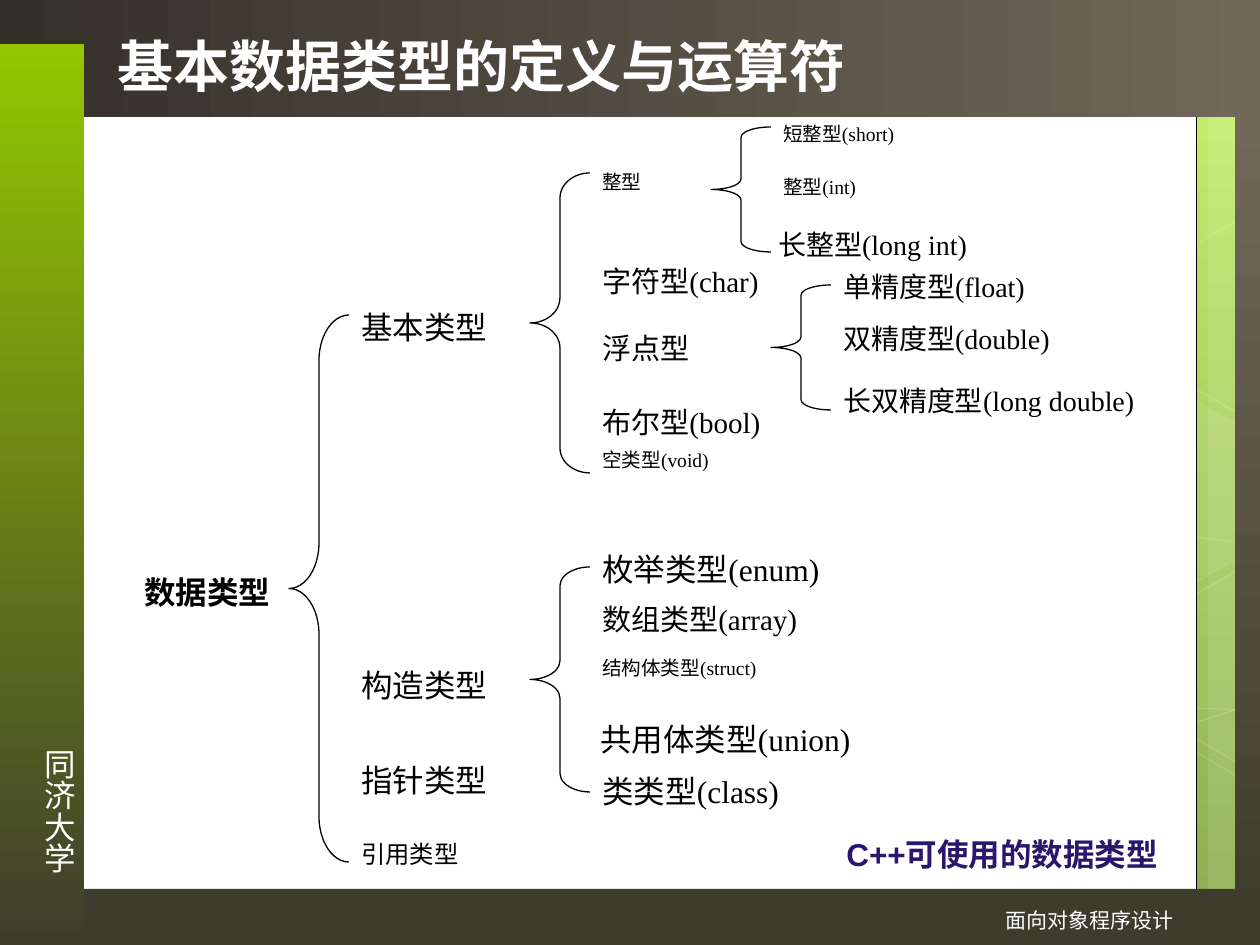
from pptx import Presentation
from pptx.dml.color import RGBColor
from pptx.enum.shapes import MSO_CONNECTOR, MSO_SHAPE
from pptx.enum.text import MSO_ANCHOR, PP_ALIGN
from pptx.oxml.ns import qn
from pptx.util import Emu, Pt
from lxml import etree

RECT, HEXAGON, BRACE = MSO_SHAPE.RECTANGLE, MSO_SHAPE.HEXAGON, MSO_SHAPE.LEFT_BRACE
STRAIGHT = MSO_CONNECTOR.STRAIGHT
LEFT, CENTER, RIGHT, JUSTIFY = PP_ALIGN.LEFT, PP_ALIGN.CENTER, PP_ALIGN.RIGHT, PP_ALIGN.JUSTIFY
TOP, MIDDLE, BOTTOM = MSO_ANCHOR.TOP, MSO_ANCHOR.MIDDLE, MSO_ANCHOR.BOTTOM

PX = 914400 / 126
DOWN, ACROSS = 270, 0
COLORS = {
    "white": "FFFFFF", "black": "000000", "lime": "C2F35F", "moss": "80A33D",
    "green": "94C600", "olive": "3E3D2D", "bark": "34302A", "taupe": "71685A",
    "indigo": "2B166E",
}
SERIF, SANS, TITLE_FONT = "Times New Roman", "Arial", "TeX Gyre Adventor"
# Smaller labels are set with tighter lines
LINE_SPACING = {18: 1.0, 16.6: 0.9, 16: 1.0, 13.9: 0.8, 11.2: 0.8}


def px(n):
    return Emu(round(n * PX))


def rgb(name):
    return RGBColor.from_string(COLORS[name])


def set_alpha(color_format_parent, percent):
    color = color_format_parent.find(".//" + qn("a:srgbClr"))
    etree.SubElement(color, qn("a:alpha")).set("val", str(percent * 1000))


def paint_gradient(fill, first, last, angle):
    fill.gradient()
    fill.gradient_angle = angle
    for stop, name in zip(fill.gradient_stops, (first, last)):
        stop.color.rgb = rgb(name)


def style(sp, fill=None, alpha=None, line=None, width=1, line_alpha=None):
    sp.shadow.inherit = False
    if fill:
        sp.fill.solid()
        sp.fill.fore_color.rgb = rgb(fill)
        if alpha:
            set_alpha(sp.fill._xPr.find(qn("a:solidFill")), alpha)
    else:
        sp.fill.background()
    if line:
        sp.line.color.rgb = rgb(line)
        sp.line.width = Pt(width)
        if line_alpha:
            set_alpha(sp.line._ln, line_alpha)
    else:
        sp.line.fill.background()


def add_shape(s, kind, box, **look):
    sp = s.shapes.add_shape(kind, *map(px, box))
    style(sp, **look)
    return sp


def gradient_bar(s, box, first, last, angle):
    sp = add_shape(s, RECT, box)
    paint_gradient(sp.fill, first, last, angle)


def write(sp, text, size, font, color, bold=False, align=LEFT, anchor=TOP, wrap=True):
    tf = sp.text_frame
    tf.word_wrap = wrap
    tf.vertical_anchor = anchor
    tf.text = text
    p = tf.paragraphs[0]
    p.alignment = align
    f = p.runs[0].font
    f.size, f.name, f.bold = Pt(size), font, bold
    f.color.rgb = rgb(color)
    return p


def add_text(s, box, *args, **kwargs):
    sp = s.shapes.add_textbox(*map(px, box))
    write(sp, *args, **kwargs)
    return sp


def side_strip(s, box):
    """Green strip with pale hexagons and lines."""
    x, y, w, h = box
    for dx in (0, 11):
        add_shape(s, RECT, (x + dx, y, w - dx, h), fill="white", alpha=10)

    # Thin strands
    for y1, y2 in ((605, 593), (420, 425), (591, 593)):
        c = s.shapes.add_connector(STRAIGHT, px(x), px(y + y1), px(x + w), px(y + y2))
        c.line.color.rgb = rgb("white")
        c.line.width = Pt(0.5)
        set_alpha(c.line._ln, 20)
        etree.SubElement(c._element.spPr, qn("a:effectLst"))

    # Whole hexagons
    for dy, alpha, line_alpha in ((630, None, 12), (279, 7, 8)):
        sp = add_shape(s, HEXAGON, (x - 146, y + dy, 220, 192), alpha=alpha,
                       fill="white" if alpha else None, line="white", line_alpha=line_alpha)
        sp.adjustments[0] = 0.285
        sp.adjustments[1] = 1.155
        sp.rotation = 30

    # Hexagons cut by the slide edge
    for dy, fill in ((440, "white"), (90, None)):
        left, right, top = x - 30, x + 63, y + dy
        fb = s.shapes.build_freeform(right, top, scale=PX)
        fb.add_line_segments([(left, top + 54), (left, top + 165), (right, top + 219)],
                             close=False)
        style(fb.convert_to_shape(), fill=fill, alpha=4, line="white", line_alpha=12)


def frame(s, box):
    """White panel with the bars around it."""
    x, y, w, h = box
    paint_gradient(s.background.fill, "lime", "moss", DOWN)
    side_strip(s, (x + 1197, y + 117, 38, 772))
    add_shape(s, RECT, (x + 63, y + 45, 1134, 853), fill="white", line="black", width=0.5)
    add_shape(s, RECT, (x + 84, y + 889, w - 84, h - 889), fill="olive")
    gradient_bar(s, (x, y, w, 117), "bark", "taupe", ACROSS)
    gradient_bar(s, (x, y + 44, 84, h - 44), "green", "olive", DOWN)
    gradient_bar(s, (x + 1235, y + 115, 25, 804), "taupe", "olive", DOWN)

    # University name, set vertically
    sp = add_text(s, (x + 21, y + 736, 63, 139), "同济大学", 18, SANS, "white", wrap=False)
    tf = sp.text_frame
    tf.margin_left = tf.margin_right = Pt(3.6)
    tf.margin_top = tf.margin_bottom = Pt(7.2)
    tf._txBody.bodyPr.set("vert", "eaVert")


def label(s, box, text, size, align=JUSTIFY, bold=False):
    sp = add_shape(s, RECT, box, fill="white")
    p = write(sp, text, size, SERIF, "black", bold=bold, align=align)
    p.line_spacing = LINE_SPACING[size]


def branch(s, box, labels):
    """Brace filling the box, with labels to its right: text, size, dx, dy, w, h."""
    x, y, w, h = box
    for text, size, dx, dy, lw, lh in labels:
        label(s, (x + w + dx, y + dy, lw, lh), text, size)
    sp = add_shape(s, BRACE, box, line="black", width=0.75)
    sp.adjustments[0] = h / 12 / w


def type_tree(s, box):
    x, y = box[:2]
    branches = [
        ((163, 198, 60, 547), [
            ("基本类型", 18, 0, -13, 180, 76), ("构造类型", 18, 0, 345, 180, 76),
            ("指针类型", 18, 0, 440, 180, 76), ("引用类型", 13.9, 0, 524, 180, 43)]),
        ((404, 56, 60, 300), [
            ("整型", 11.2, 0, -5, 121, 38), ("字符型(char)", 16.6, 0, 88, 198, 64),
            ("浮点型", 16.6, 0, 155, 151, 50), ("布尔型(bool)", 16.6, 0, 229, 210, 50),
            ("空类型(void)", 11.2, 0, 273, 210, 38)]),
        ((404, 450, 60, 225), [
            ("枚举类型(enum)", 18, 0, -23, 331, 54), ("数组类型(array)", 16.6, 0, 32, 241, 53),
            ("结构体类型(struct)", 11.2, 0, 87, 331, 39),
            ("共用体类型(union)", 18, -2, 147, 292, 53), ("类类型(class)", 18, 0, 199, 241, 63)]),
        ((585, 10, 60, 125), [
            ("短整型(short)", 11.2, 0, -7, 195, 38), ("整型(int)", 11.2, 0, 46, 174, 38),
            ("长整型(long int)", 16, -5, 94, 258, 50)]),
        ((645, 168, 60, 125), [
            ("单精度型(float)", 16, 0, -22, 271, 52), ("双精度型(double)", 16, 0, 30, 271, 50),
            ("长双精度型(long double)", 16, 0, 92, 324, 64)]),
    ]
    label(s, (x, y + 450, 163, 63), "数据类型", 18, align=CENTER, bold=True)
    for (bx, by, bw, bh), labels in branches:
        branch(s, (x + bx, y + by, bw, bh), labels)


def main():
    prs = Presentation()
    prs.slide_width, prs.slide_height = px(1260), px(945)
    s = prs.slides.add_slide(prs.slide_layouts[6])
    frame(s, (0, 0, 1260, 945))
    type_tree(s, (126, 117, 1047, 758))
    # Title, caption and footer
    add_text(s, (105, 10, 968, 95), "基本数据类型的定义与运算符", 32, TITLE_FONT, "white",
             bold=True, anchor=BOTTOM)
    add_text(s, (834, 829, 344, 50), "C++可使用的数据类型", 18, SANS, "indigo",
             bold=True, wrap=False)
    add_text(s, (703, 895, 483, 50), "面向对象程序设计", 12, SANS, "white",
             align=RIGHT, anchor=MIDDLE)
    prs.save("out.pptx")


if __name__ == "__main__":
    main()
